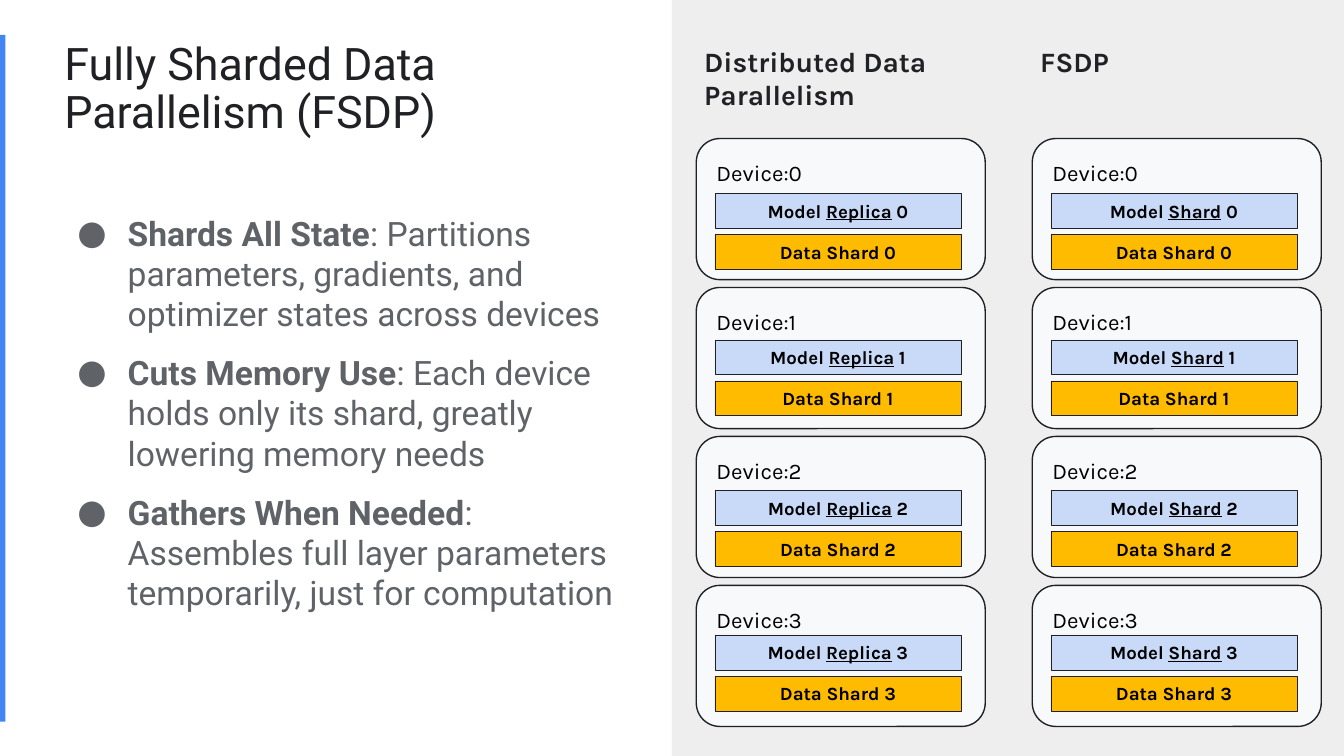
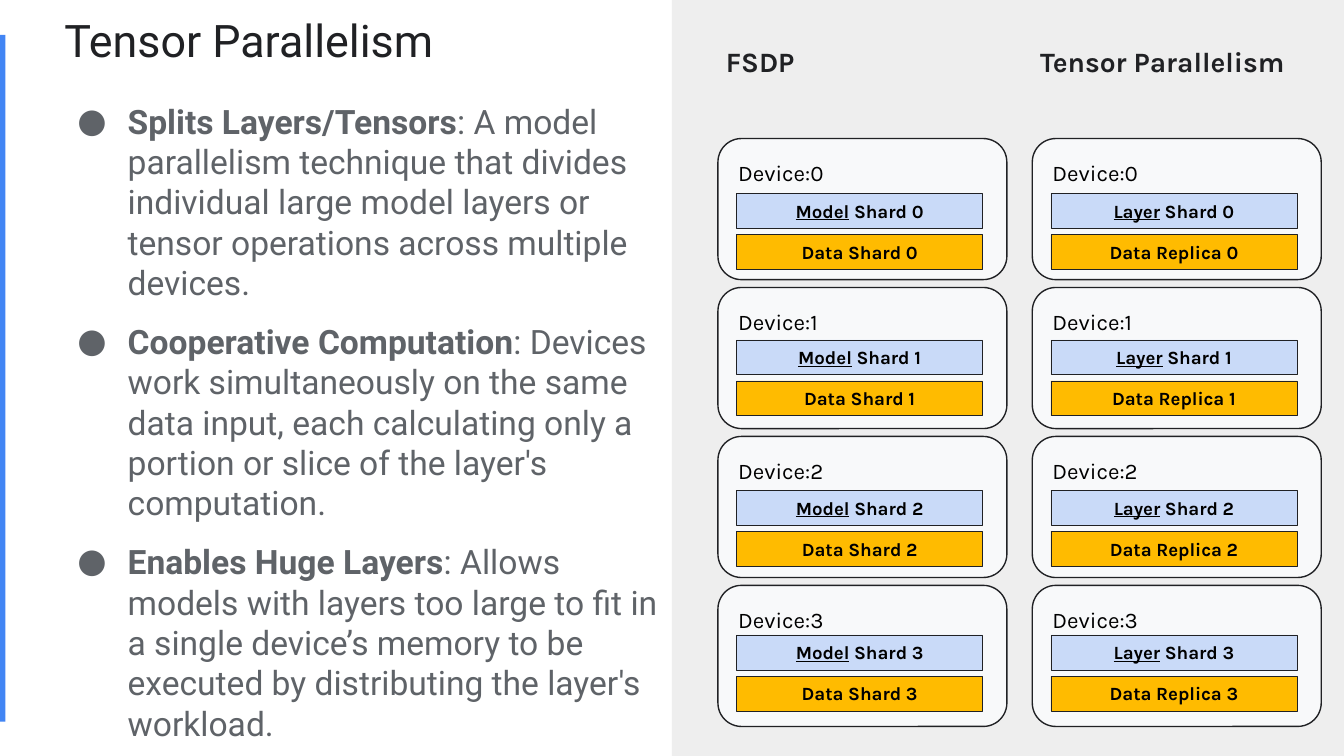
"""Build two slides that compare ways to train a model in parallel."""
from lxml import etree
from pptx import Presentation
from pptx.dml.color import RGBColor
from pptx.enum.shapes import MSO_SHAPE
from pptx.enum.text import MSO_ANCHOR, PP_ALIGN
from pptx.oxml.ns import qn
from pptx.util import Pt

RECT, ROUND = MSO_SHAPE.RECTANGLE, MSO_SHAPE.ROUNDED_RECTANGLE
TOP, MIDDLE = MSO_ANCHOR.TOP, MSO_ANCHOR.MIDDLE
LEFT, CENTER = PP_ALIGN.LEFT, PP_ALIGN.CENTER

BLUE = RGBColor(0x42, 0x85, 0xF4)
PANEL = RGBColor(0xEE, 0xEE, 0xEE)
CARD = RGBColor(0xF8, 0xF9, 0xFA)
SKY = RGBColor(0xC9, 0xDA, 0xF8)
AMBER = RGBColor(0xFF, 0xBB, 0x00)
INK = RGBColor(0x20, 0x21, 0x24)
GRAY = RGBColor(0x5F, 0x63, 0x68)
BLACK = RGBColor(0, 0, 0)

HEAD, BODY = "Karla", "Roboto"
WIDTH, HEIGHT = 720, 405
STEP = 79.8
MODEL_TOPS = (29.5, 28.1, 28.8, 26.6)
DATA_GAP = 22

SLIDES = (
    {
        "title": "Fully Sharded Data Parallelism (FSDP)",
        "title_box": (27.4, 15.1, 333.4, 67),
        "list_box": (32.4, 113.8, 311, 216.7),
        "points": (
            ("Shards All State", ": Partitions parameters, gradients, and "
             "optimizer states across devices"),
            ("Cuts Memory Use", ": Each device holds only its shard, greatly "
             "lowering memory needs"),
            ("Gathers When Needed", ": Assembles full layer parameters "
             "temporarily, just for computation"),
        ),
        "columns": (
            (373, "Distributed Data\nParallelism", ("Model ", "Replica", ""), "Data Shard"),
            (553, "FSDP", ("Model ", "Shard", ""), "Data Shard"),
        ),
    },
    {
        "title": "Tensor Parallelism",
        "title_box": (27.4, 2.9, 333.4, 41),
        "list_box": (32.4, 54, 327.6, 347.8),
        "points": (
            ("Splits Layers/Tensors", ": A model parallelism technique that "
             "divides individual large model layers or tensor operations "
             "across multiple devices."),
            ("Cooperative Computation", ": Devices work simultaneously on the "
             "same data input, each calculating only a portion or slice of "
             "the layer's computation."),
            ("Enables Huge Layers", ": Allows models with layers too large to "
             "fit in a single device’s memory to be executed by distributing "
             "the layer's workload."),
        ),
        "columns": (
            (384.6, "FSDP", ("", "Model", " Shard"), "Data Shard"),
            (553, "Tensor Parallelism", ("", "Layer", " Shard"), "Data Replica"),
        ),
    },
)


def place(box):
    """Turn a box in points into lengths."""
    return [Pt(n) for n in box]


def style(run, font, size, color, bold=False):
    """Set the look of one run."""
    run.font.name, run.font.size, run.font.bold = font, Pt(size), bold
    run.font.color.rgb = color


def frame(shape, insets, anchor=TOP):
    """Set up the text frame of a shape and return it."""
    text = shape.text_frame
    text.word_wrap, text.vertical_anchor = True, anchor
    (text.margin_left, text.margin_top,
     text.margin_right, text.margin_bottom) = place(insets)
    return text


def block(slide, kind, box, fill, line=None):
    """Add a filled shape with an optional outline in points."""
    shape = slide.shapes.add_shape(kind, *place(box))
    shape.shadow.inherit = False
    shape.fill.solid()
    shape.fill.fore_color.rgb = fill
    if line:
        shape.line.color.rgb, shape.line.width = INK, Pt(line)
    else:
        shape.line.fill.background()
    return shape


def label(slide, box, text, font, size):
    """Add a text box and return its frame."""
    shape = slide.shapes.add_textbox(*place(box))
    inset = 7.2 if font == BODY else 3.6
    words = frame(shape, [inset] * 4)
    words.text = text
    for par in words.paragraphs:
        style(par.runs[0], font, size, INK, font == HEAD)
    return words


def bar(slide, box, fill, parts):
    """Add a bar whose second text part is underlined."""
    words = frame(block(slide, RECT, box, fill, 0.38), [3.6] * 4, MIDDLE)
    par = words.paragraphs[0]
    par.alignment = CENTER
    for i, part in enumerate(parts):
        if part:
            run = par.add_run()
            run.text = part
            style(run, HEAD, 10, BLACK, True)
            run.font.underline = i == 1


def device(slide, left, top, num, model, data):
    """Add one device card with its model and data bars."""
    card = block(slide, ROUND, (left, top, 154.8, 75.6), CARD, 0.75)
    card.adjustments[0] = 0.167
    words = frame(card, (7.2, 7.2, 0, 0))
    words.text = f"Device:{num}"
    words.paragraphs[0].alignment = LEFT
    style(words.paragraphs[0].runs[0], HEAD, 12, BLACK)
    start, marked, end = model
    y = top + MODEL_TOPS[num]
    bar(slide, (left + 10, y, 131.8, 18.7), SKY, (start, marked, f"{end} {num}"))
    bar(slide, (left + 10, y + DATA_GAP, 131.8, 18.7), AMBER, (f"{data} {num}",))


def column(slide, left, name, model, data):
    """Add a headed stack of devices."""
    label(slide, (left + 0.7, 20.2, 141, 41.8), name, HEAD, 15)
    for num in range(len(MODEL_TOPS)):
        device(slide, left, 74.2 + num * STEP, num, model, data)


def bullet(par):
    """Give a paragraph a hanging round bullet."""
    props = par._p.get_or_add_pPr()
    props.set("marL", str(Pt(36)))
    props.set("indent", str(-Pt(27)))
    tint = etree.SubElement(props, qn("a:buClr"))
    etree.SubElement(tint, qn("a:srgbClr")).set("val", str(GRAY))
    etree.SubElement(props, qn("a:buFont")).set("typeface", BODY)
    etree.SubElement(props, qn("a:buChar")).set("char", "●")


def points(slide, box, items):
    """Add the bullet list with bold lead words."""
    words = frame(slide.shapes.add_textbox(*place(box)), [0] * 4)
    for i, item in enumerate(items):
        par = words.add_paragraph() if i else words.paragraphs[0]
        bullet(par)
        if i:
            par.space_before = Pt(10)
        for part in item:
            run = par.add_run()
            run.text = part
            style(run, BODY, 18, GRAY, part == item[0])
    par.space_after = Pt(10)


def build(deck, data):
    """Add one comparison slide."""
    slide = deck.slides.add_slide(deck.slide_layouts[6])
    block(slide, RECT, (-1.2, 18.7, 4.1, 368), BLUE)
    block(slide, RECT, (WIDTH / 2, 0, WIDTH / 2, HEIGHT), PANEL)
    title = label(slide, data["title_box"], data["title"], BODY, 24)
    title.paragraphs[0].line_spacing = 0.9
    points(slide, data["list_box"], data["points"])
    for col in data["columns"]:
        column(slide, *col)


def main():
    """Build and save the deck."""
    deck = Presentation()
    deck.slide_width, deck.slide_height = Pt(WIDTH), Pt(HEIGHT)
    for data in SLIDES:
        build(deck, data)
    deck.save("out.pptx")


if __name__ == "__main__":
    main()
